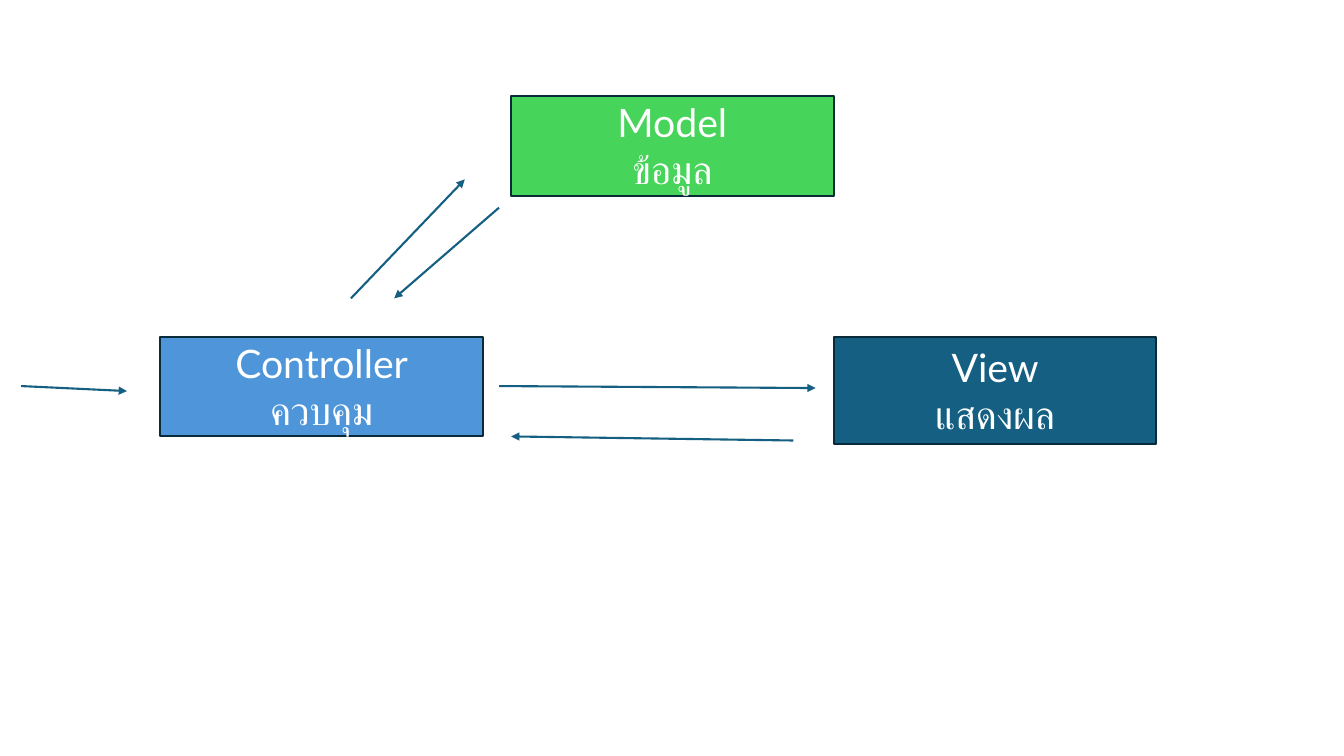
from lxml import etree
from pptx import Presentation
from pptx import util as u
from pptx.dml.color import RGBColor
from pptx.enum import shapes, text
from pptx.oxml.ns import qn

COLORS = {
    "controller": "4E95D9",
    "view": "156082",
    "model": "47D45A",
    "border": "092A39",
    "arrow": "156082",
    "text": "FFFFFF",
}


class Diagram:
    font = "Lato"
    size = u.Pt(28)
    line_width = u.Pt(1.5)
    box_width = 24

    def __init__(self, prs):
        self.s = prs.slides.add_slide(prs.slide_layouts[6])
        self.width, self.height = prs.slide_width, prs.slide_height

    def x(self, percent):
        return u.Emu(round(self.width * percent / 100))

    def y(self, percent):
        return u.Emu(round(self.height * percent / 100))

    def color(self, name):
        return RGBColor.from_string(COLORS[name])

    def stroke(self, line, name):
        line.color.rgb = self.color(name)
        line.width = self.line_width

    def box(self, fill, label, left, top, height):
        sp = self.s.shapes.add_shape(
            shapes.MSO_SHAPE.RECTANGLE,
            self.x(left), self.y(top), self.x(self.box_width), self.y(height))
        sp.shadow.inherit = False
        sp.fill.solid()
        sp.fill.fore_color.rgb = self.color(fill)
        self.stroke(sp.line, "border")
        tf = sp.text_frame
        tf.word_wrap = True
        tf.vertical_anchor = text.MSO_ANCHOR.MIDDLE
        tf.text = label
        for p in tf.paragraphs:
            p.alignment = text.PP_ALIGN.CENTER
            for r in p.runs:
                r.font.name = self.font
                r.font.size = self.size
                r.font.color.rgb = self.color("text")

    def arrow(self, x1, y1, x2, y2):
        c = self.s.shapes.add_connector(
            shapes.MSO_CONNECTOR.STRAIGHT,
            self.x(x1), self.y(y1), self.x(x2), self.y(y2))
        self.stroke(c.line, "arrow")
        ln = c.line._get_or_add_ln()
        etree.SubElement(ln, qn("a:tailEnd"), type="triangle")
        etree.SubElement(c._element.spPr, qn("a:effectLst"))


def main():
    prs = Presentation()
    prs.slide_width, prs.slide_height = u.Inches(13.33), u.Inches(7.5)
    d = Diagram(prs)

    for box in (
        ("controller", "Controller\nควบคุม", 11.93, 44.53, 13.2),
        ("view", "View\nแสดงผล", 62.04, 44.53, 14.27),
        ("model", "Model\nข้อมูล", 38.03, 12.67, 13.2),
    ):
        d.box(*box)

    for ends in (
        (1.58, 51.07, 9.45, 51.73),
        (37.13, 51.07, 60.69, 51.33),
        (59.04, 58.27, 38.03, 57.73),
        (26.11, 39.47, 34.58, 23.73),
        (37.13, 27.47, 29.33, 39.47),
    ):
        d.arrow(*ends)

    prs.save("out.pptx")


if __name__ == "__main__":
    main()
